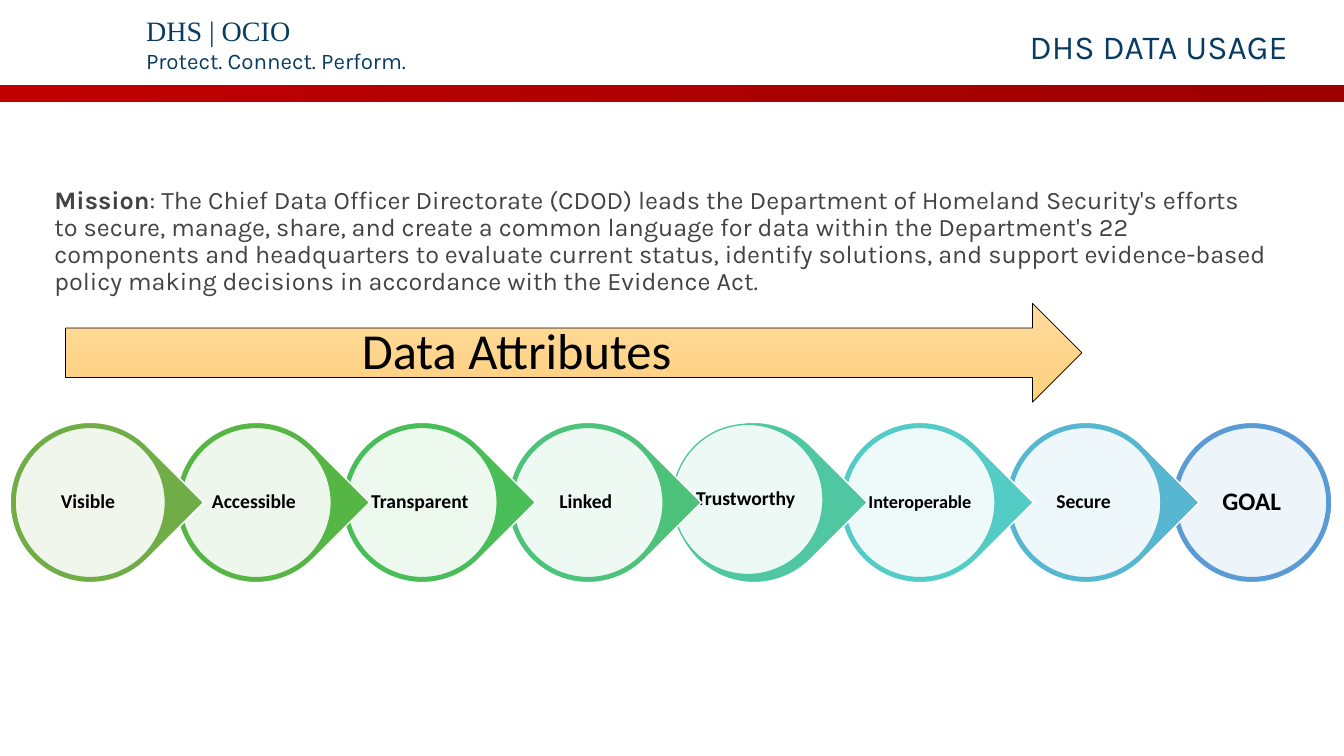
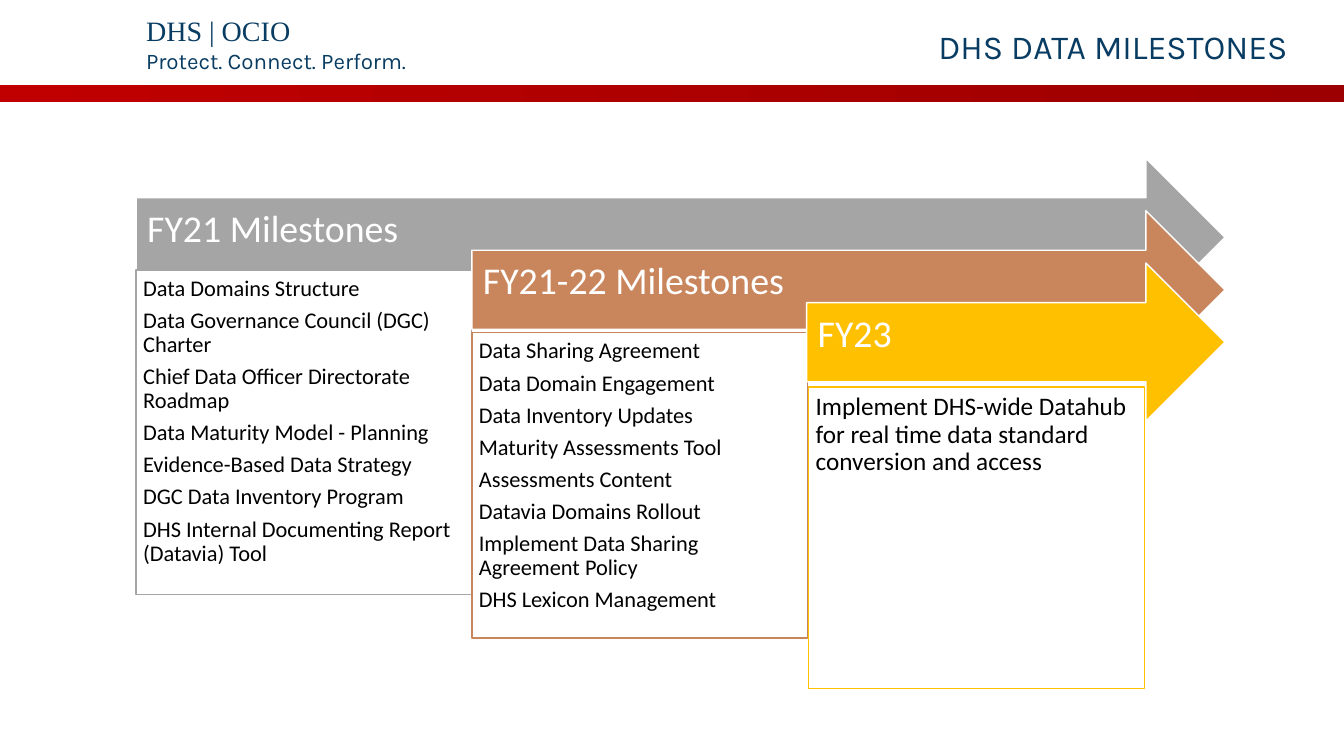
"""Build the data usage and data milestones slides with their shared header."""
from dataclasses import dataclass

from lxml.etree import SubElement
from pptx import Presentation
from pptx.dml.color import RGBColor
from pptx.enum.shapes import MSO_SHAPE
from pptx.enum.text import MSO_ANCHOR, MSO_AUTO_SIZE, PP_ALIGN
from pptx.oxml.ns import qn
from pptx.util import Inches, Pt


@dataclass(frozen=True)
class Theme:
    navy: str = "093C62"
    charcoal: str = "434343"
    black: str = "000000"
    white: str = "FFFFFF"
    band: tuple = ("C00000", "9C0000")
    amber: tuple = ("FFDB9E", "FFD07C")
    heading_font: str = "Karla"
    agency_font: str = "Times New Roman"
    diagram_font: str = "Calibri"
    title_size: int = 24
    agency_size: int = 20
    motto_size: int = 16
    mission_size: int = 18
    banner_size: int = 36
    phase_size: int = 27
    line_spacing: float = 0.9
    after_ratio: float = 0.35


theme = Theme()


def add_run(paragraph, text, size, color, font, bold=False):
    run = paragraph.add_run()
    run.text = text
    run.font.size = Pt(size)
    run.font.name = font
    run.font.bold = bold
    run.font.color.rgb = RGBColor.from_string(color)


def add_figure(slide, preset, bounds, fill, line=None, width=1):
    figure = slide.shapes.add_shape(preset, *map(Inches, bounds))
    figure.shadow.inherit = False
    if isinstance(fill, tuple):
        figure.fill.gradient()
        for stop, color in zip(figure.fill.gradient_stops, fill):
            stop.color.rgb = RGBColor.from_string(color)
        for stop, position in zip(figure.fill.gradient_stops, (0, 1)):
            stop.position = position
    else:
        figure.fill.solid()
        figure.fill.fore_color.rgb = RGBColor.from_string(fill)
    if line:
        figure.line.color.rgb = RGBColor.from_string(line)
        figure.line.width = Pt(width)
    else:
        figure.line.fill.background()
    figure.text_frame.word_wrap = True
    return figure


prs = Presentation()
prs.slide_width, prs.slide_height = Inches(13.33), Inches(7.5)
master = prs.slide_master
for placeholder in master.placeholders:
    if placeholder.placeholder_format.type == 1:
        placeholder.left, placeholder.top = Inches(4.13), Inches(0.25)
        placeholder.width, placeholder.height = Inches(8.74), Inches(0.71)

usage = prs.slides.add_slide(prs.slide_layouts[1])
milestones = prs.slides.add_slide(prs.slide_layouts[5])

band = add_figure(usage, MSO_SHAPE.RECTANGLE, (0, 0.84, 13.33, 0.17), theme.band)
band.fill.gradient_angle = 0
agency = usage.shapes.add_textbox(Inches(1.35), Inches(0.08), Inches(3.49), Inches(0.71))
agency.text_frame.word_wrap = True
add_run(agency.text_frame.paragraphs[0], "DHS | OCIO",
        theme.agency_size, theme.navy, theme.agency_font)
add_run(agency.text_frame.add_paragraph(), "Protect. Connect. Perform.",
        theme.motto_size, theme.navy, theme.heading_font)
for number, shared in enumerate((band, agency), start=101):
    shared.element.xpath("./p:nvSpPr/p:cNvPr")[0].set("id", str(number))
    master.shapes.element.append(shared.element)

for slide, heading in ((usage, "DHS DATA USAGE"), (milestones, "DHS DATA MILESTONES")):
    frame = slide.shapes.title.text_frame
    frame.vertical_anchor = MSO_ANCHOR.TOP
    frame.auto_size = MSO_AUTO_SIZE.NONE
    paragraph = frame.paragraphs[0]
    paragraph.alignment = PP_ALIGN.RIGHT
    paragraph.line_spacing = theme.line_spacing
    add_run(paragraph, heading, theme.title_size, theme.navy, theme.heading_font)

mission = usage.placeholders[1]
mission.left, mission.top = Inches(0.44), Inches(1.81)
mission.width, mission.height = Inches(12.24), Inches(1.33)
mission.text_frame.auto_size = MSO_AUTO_SIZE.NONE
paragraph = mission.text_frame.paragraphs[0]
properties = paragraph._p.get_or_add_pPr()
properties.set("marL", "0")
properties.set("indent", "0")
SubElement(properties, qn("a:buNone"))
paragraph.line_spacing = theme.line_spacing
paragraph.space_before = Pt(0)
add_run(paragraph, "Mission", theme.mission_size, theme.charcoal, theme.heading_font, True)
add_run(paragraph,
        ": The Chief Data Officer Directorate (CDOD) leads the Department of Homeland "
        "Security's efforts to secure, manage, share, and create a common language for data "
        "within the Department's 22 components and headquarters to evaluate current status, "
        "identify solutions, and support evidence-based policy making decisions in accordance "
        "with the Evidence Act.",
        theme.mission_size, theme.charcoal, theme.heading_font)

attributes = [
    ("Visible ", "70AD47", 14),
    ("Accessible ", "55B646", 14),
    ("Transparent ", "48BD58", 14),
    ("Linked ", "4CC27B", 14),
    ("Trustworthy ", "4FC7A0", 14),
    ("Interoperable ", "53CCC5", 13),
    ("Secure ", "57B7D1", 14),
    ("GOAL", "5B9BD5", 18),
]
first_left, last_left, ring_top = 0.1, 11.62, 4.19
ring, disc = 1.59, 1.49
inset = (ring - disc) / 2
pitch = (last_left - first_left) / (len(attributes) - 1)
for index, (label, color, size) in reversed(list(enumerate(attributes))):
    left = first_left + index * pitch
    is_goal = label == "GOAL"
    outer = add_figure(usage, MSO_SHAPE.OVAL if is_goal else MSO_SHAPE.TEAR,
                       (left, ring_top, ring, ring), color, theme.white)
    if not is_goal:
        outer.rotation = 45
    shift_x, shift_y = (-0.06, -0.03) if label == "Trustworthy " else (0, 0)
    inner = add_figure(usage, MSO_SHAPE.OVAL,
                       (left + inset + shift_x, ring_top + inset + shift_y, disc, disc),
                       theme.white, color)
    white_fill = inner.element.spPr.find(qn("a:solidFill")).find(qn("a:srgbClr"))
    SubElement(white_fill, qn("a:alpha")).set("val", "90000")
    frame = inner.text_frame
    frame.margin_left = frame.margin_right = Inches(0.01)
    frame.margin_top = frame.margin_bottom = Inches(0.02)
    frame.vertical_anchor = MSO_ANCHOR.MIDDLE
    paragraph = frame.paragraphs[0]
    paragraph.alignment = PP_ALIGN.CENTER
    paragraph.line_spacing = theme.line_spacing
    add_run(paragraph, label, size, theme.black, theme.diagram_font, True)

banner = add_figure(usage, MSO_SHAPE.RIGHT_ARROW, (0.65, 3.01, 10.08, 0.98),
                    theme.amber, theme.black, 0.5)
banner.fill.gradient_angle = 270
banner_label = usage.shapes.add_textbox(Inches(3.49), Inches(3.12), Inches(6.14), Inches(0.71))
banner_label.text_frame.word_wrap = True
add_run(banner_label.text_frame.paragraphs[0], "Data Attributes",
        theme.banner_size, theme.black, theme.diagram_font)

phases = [
    ("FY21 Milestones", "A5A5A5", (1.35, 1.57), (1.35, 2.68, 3.33, 3.22), 16, [
        "Data Domains Structure",
        "Data Governance Council (DGC) Charter",
        "Chief Data Officer Directorate Roadmap",
        "Data Maturity Model - Planning",
        "Evidence-Based Data Strategy",
        "DGC Data Inventory Program",
        "DHS Internal Documenting Report (Datavia) Tool",
    ]),
    ("FY21-22 Milestones", "C9865C", (4.68, 2.09), (4.68, 3.3, 3.33, 3.03), 16, [
        "Data Sharing Agreement",
        "Data Domain Engagement",
        "Data Inventory Updates",
        "Maturity Assessments Tool",
        "Assessments Content",
        "Datavia Domains Rollout",
        "Implement Data Sharing Agreement Policy",
        "DHS Lexicon Management",
    ]),
    ("FY23", "FFC000", (8, 2.61), (8.02, 3.84, 3.33, 2.99), 18, [
        "Implement DHS-wide Datahub for real time data standard conversion and access",
    ]),
]
arrow_tip, arrow_height = 12.15, 1.57
for phase, color, (left, top), task_bounds, size, tasks in phases:
    arrow = add_figure(milestones, MSO_SHAPE.RIGHT_ARROW,
                       (left, top, arrow_tip - left, arrow_height), color, theme.white)
    frame = arrow.text_frame
    frame.margin_left = frame.margin_top = Inches(0.11)
    frame.margin_right, frame.margin_bottom = Inches(0.28), Inches(0.25)
    frame.vertical_anchor = MSO_ANCHOR.MIDDLE
    paragraph = frame.paragraphs[0]
    paragraph.alignment = PP_ALIGN.LEFT
    paragraph.line_spacing = theme.line_spacing
    add_run(paragraph, phase, theme.phase_size, theme.white, theme.diagram_font)

    task_list = add_figure(milestones, MSO_SHAPE.RECTANGLE, task_bounds, theme.white, color)
    frame = task_list.text_frame
    frame.margin_left = frame.margin_right = Inches(0.07)
    frame.margin_top = frame.margin_bottom = Inches(0.07)
    frame.vertical_anchor = MSO_ANCHOR.TOP
    for position, task in enumerate(tasks):
        paragraph = frame.add_paragraph() if position else frame.paragraphs[0]
        paragraph.alignment = PP_ALIGN.LEFT
        paragraph.line_spacing = theme.line_spacing
        paragraph.space_after = Pt(size * theme.after_ratio)
        add_run(paragraph, task, size, theme.black, theme.diagram_font)

prs.save("out.pptx")
